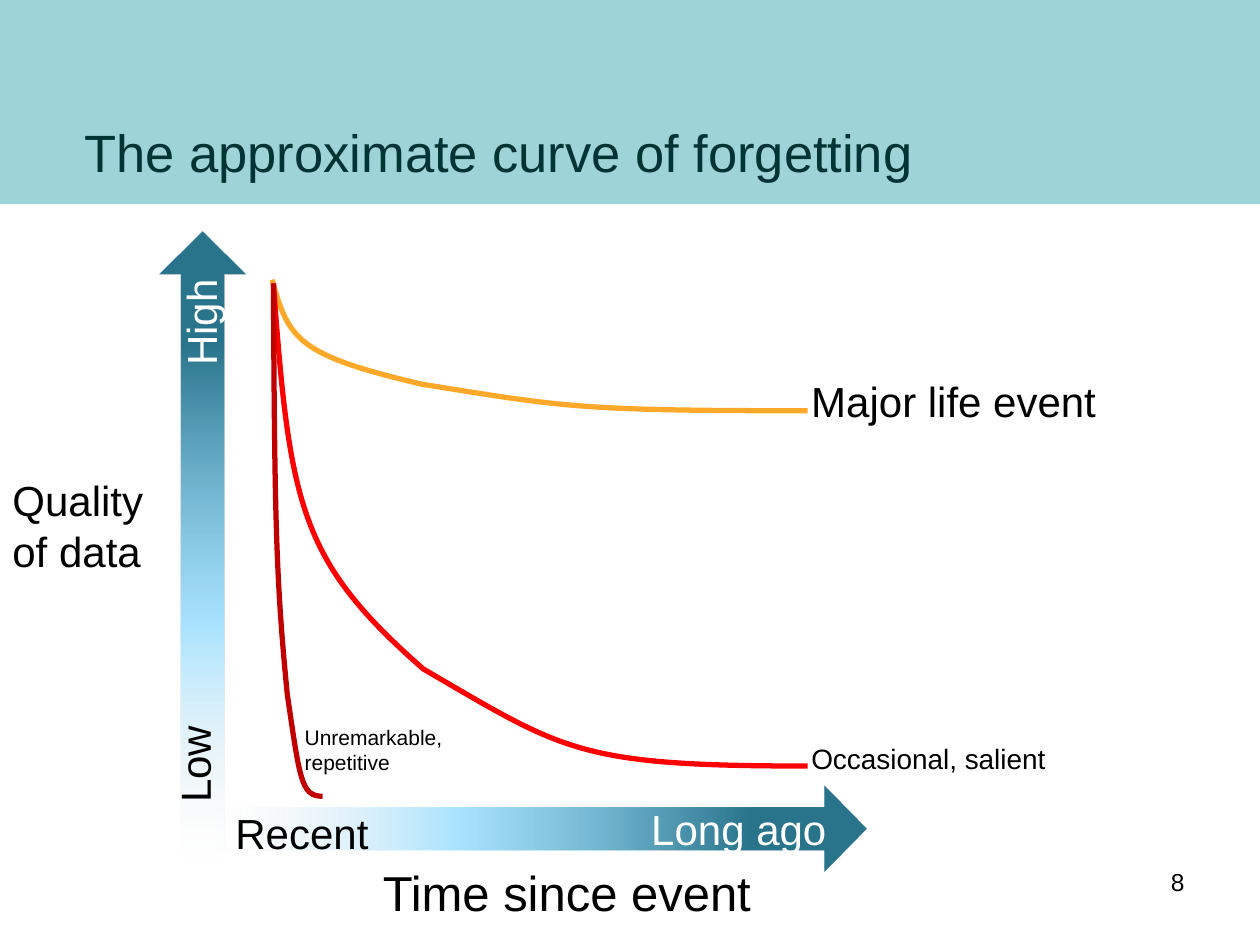
from pptx import Presentation
from pptx.dml.color import RGBColor
from pptx.enum.shapes import MSO_SHAPE
from pptx.enum.text import MSO_ANCHOR, MSO_AUTO_SIZE, PP_ALIGN
from pptx.oxml.ns import qn
from pptx.util import Inches, Pt
from lxml.etree import SubElement

COLORS = {
    "band": "9ED3D7", "title": "003333", "text": "000000", "light": "FFFFFF",
    "major": "FFA829", "occasional": "FF0000", "repetitive": "C00000",
    "strong": "227088", "mid": "7FD6FF", "faded": "E6E6E6",
}
# Position %, colour, opacity %
FADE = [(18, "strong", 96), (63, "mid", 66), (100, "faded", 0)]


def rgb(name):
    return RGBColor.from_string(COLORS[name])


class SlideBuilder:
    font = "Arial"
    line_width = Pt(3)

    def __init__(self, slide):
        self.s = slide

    def shape(self, kind, box, rotation=0):
        sp = self.s.shapes.add_shape(kind, *map(Inches, box))
        sp.shadow.inherit = False
        sp.line.fill.background()
        sp.rotation = rotation
        return sp

    def band(self, box):
        sp = self.shape(MSO_SHAPE.RECTANGLE, box)
        sp.fill.solid()
        sp.fill.fore_color.rgb = rgb("band")

    def axis(self, box, rotation=0):
        sp = self.shape(MSO_SHAPE.UP_ARROW, box, rotation)
        sp.fill.gradient()
        sp.fill.gradient_angle = 270
        stops = sp._element.spPr.find(qn("a:gradFill")).find(qn("a:gsLst"))
        for stop in list(stops):
            stops.remove(stop)
        for pos, color, opacity in FADE:
            gs = SubElement(stops, qn("a:gs"), pos=str(pos * 1000))
            clr = SubElement(gs, qn("a:srgbClr"), val=COLORS[color])
            SubElement(clr, qn("a:alpha"), val=str(opacity * 1000))

    def text(self, text, box, size, color="text", rotation=0, align=PP_ALIGN.LEFT, **frame):
        sp = self.s.shapes.add_textbox(*map(Inches, box))
        sp.rotation = rotation
        tf = sp.text_frame
        for name, value in {"word_wrap": True, **frame}.items():
            setattr(tf, name, value)
        p = tf.paragraphs[0]
        p.text = text
        p.alignment = align
        for r in p.runs:
            for name, value in {"name": self.font, "size": Pt(size)}.items():
                setattr(r.font, name, value)
            r.font.color.rgb = rgb(color)

    def label(self, text, box, size=24, color="text", rotation=0, wrap=False):
        self.text(text, box, size, color, rotation, word_wrap=wrap,
                  auto_size=MSO_AUTO_SIZE.SHAPE_TO_FIT_TEXT)

    def curve(self, points, color):
        """Draw joined cubic curves: a start, then three points for each."""
        start, *rest = [tuple(map(Inches, point)) for point in points]
        fb = self.s.shapes.build_freeform(*start)
        fb.add_line_segments(rest, close=False)
        sp = fb.convert_to_shape()
        # Turn each three line segments into one cubic segment
        outline = next(sp._element.iter(qn("a:path")))
        lines = outline.findall(qn("a:lnTo"))
        for i, line in enumerate(lines):
            if i % 3 == 0:
                cubic = SubElement(outline, qn("a:cubicBezTo"))
            cubic.append(line[0])
            outline.remove(line)
        sp.shadow.inherit = False
        sp.fill.background()
        sp.line.color.rgb = rgb(color)
        sp.line.width = self.line_width


def main():
    prs = Presentation()
    prs.slide_width, prs.slide_height = Inches(10), Inches(7.5)
    b = SlideBuilder(prs.slides.add_slide(prs.slide_layouts[6]))

    # Title band and page number
    b.band((0, 0, 10, 1.62))
    margins = dict.fromkeys(
        ("margin_left", "margin_top", "margin_right", "margin_bottom"), 0)
    b.text("The approximate curve of forgetting", (0.67, 0.2, 8.73, 1.25), 30, "title",
           vertical_anchor=MSO_ANCHOR.BOTTOM, **margins)
    b.text("8", (7.17, 6.83, 2.33, 0.52), 14, align=PP_ALIGN.RIGHT)

    # Axes and their labels
    b.axis((3.95, 3.99, 0.68, 5.17), 90)
    b.axis((1.27, 1.84, 0.68, 4.97))
    b.label("Long ago", (5.07, 6.33, 1.61, 0.5), color="light")
    b.label("High", (1.14, 2.3, 0.9, 0.5), color="light", rotation=270)
    b.label("Recent", (1.77, 6.36, 1.27, 0.5))
    b.label("Low", (1.13, 5.81, 0.82, 0.5), rotation=270)
    b.label("Time since event", (2.94, 6.8, 3.16, 0.57), 28)
    b.label("Quality\nof data", (0, 3.72, 1.25, 0.91))

    # Forgetting curves and their labels
    b.curve([(2.16, 2.22), (2.29, 2.7), (2.37, 2.82), (3.35, 3.05),
             (4.48, 3.23), (4.58, 3.26), (6.41, 3.26)], "major")
    b.label("Major life event", (6.34, 2.93, 2.76, 0.5), wrap=True)
    b.curve([(2.17, 2.25), (2.3, 4.02), (2.38, 4.45), (3.36, 5.31),
             (4.48, 5.96), (4.58, 6.08), (6.41, 6.08)], "occasional")
    b.label("Occasional, salient", (6.34, 5.84, 3.18, 0.37), 16, wrap=True)
    b.label("Unremarkable,\nrepetitive", (2.32, 5.7, 1.34, 0.5), 12, wrap=True)
    b.curve([(2.17, 2.25), (2.18, 4.13), (2.19, 4.59), (2.28, 5.51),
             (2.38, 6.19), (2.39, 6.32), (2.56, 6.32)], "repetitive")

    prs.save("out.pptx")


if __name__ == "__main__":
    main()
